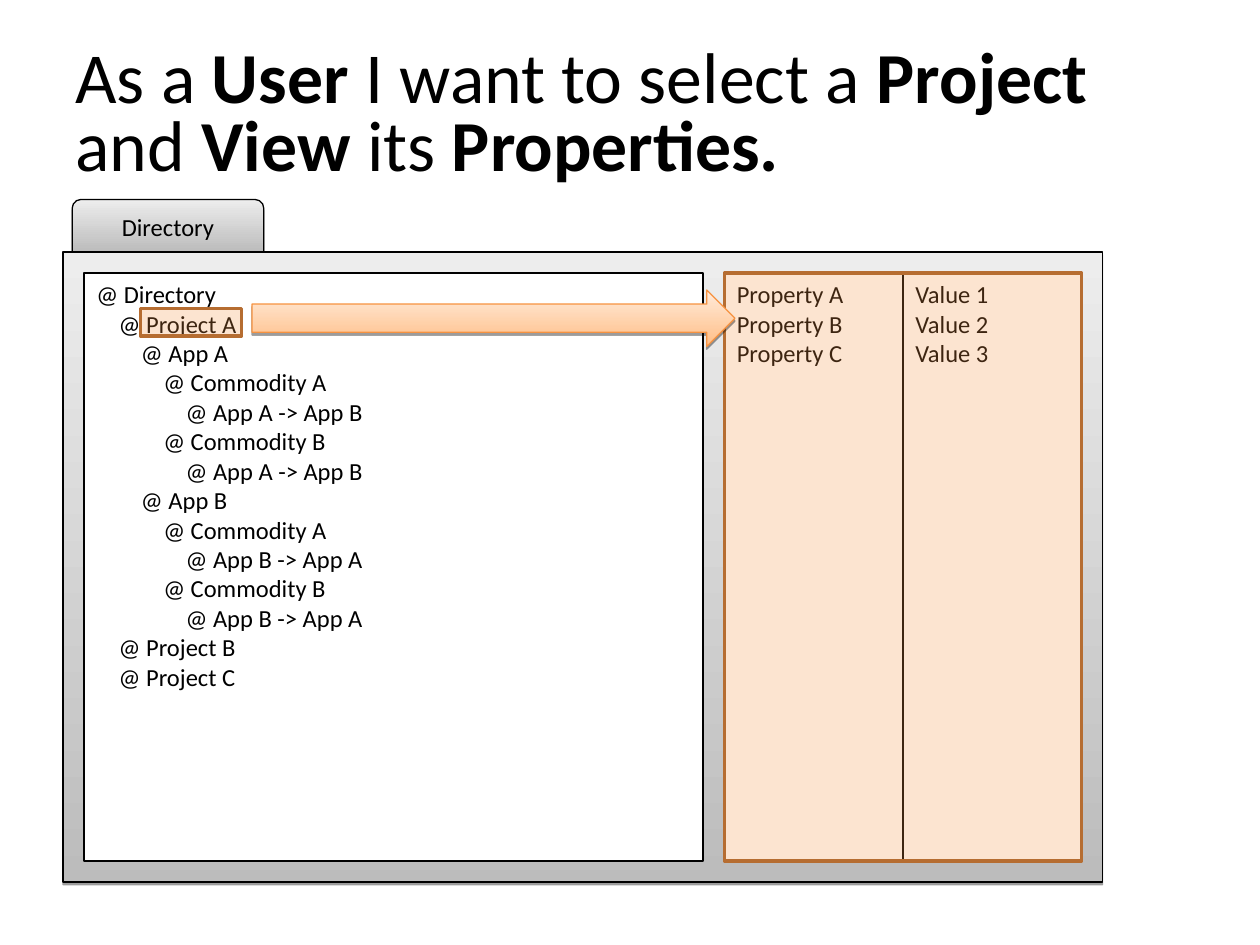
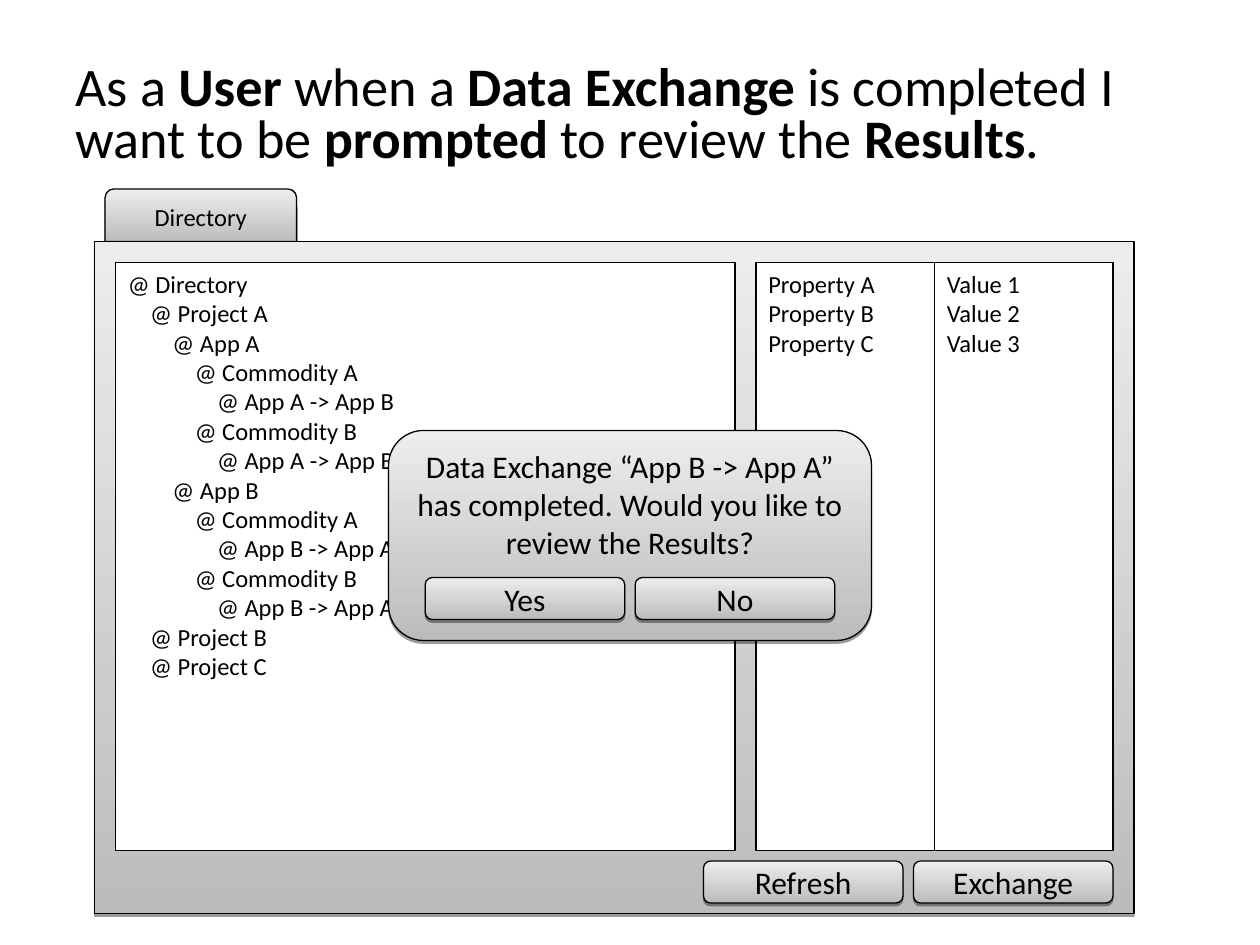
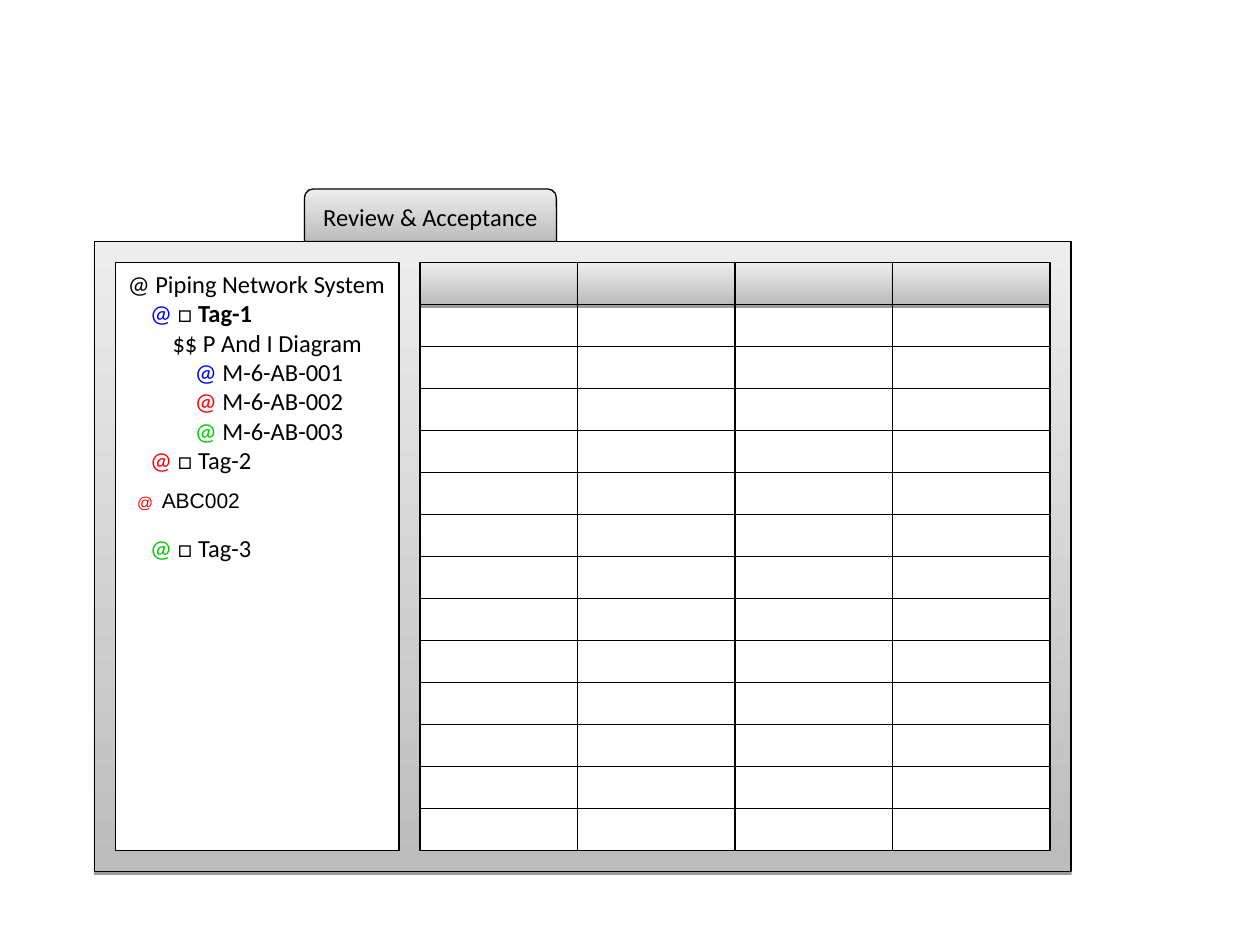
import pptx
import pptx.dml.color
import pptx.enum.shapes
import pptx.enum.text
import pptx.oxml.ns
import pptx.util
import lxml.etree

SCALE = 9525  # EMU in one px, 96 px to the inch
SHAPES = pptx.enum.shapes.MSO_SHAPE
ALIGN = pptx.enum.text.PP_ALIGN
ANCHOR = pptx.enum.text.MSO_ANCHOR

# Shared look
FONT = "Calibri"
BLACK, WHITE = "000000", "FFFFFF"
BLUE, RED, GREEN = "0000FF", "FF0000", "00CC00"
GREY_FADE = ("BCBCBC", "EDEDED")
ORANGE_FADE = ("FFBE86", "FFEBDB")
ORANGE, ORANGE_EDGE, ARROW_EDGE = "F79646", "B66D31", "F69240"

# Shared measures in px
MARGIN = 16
INDENT = 17
PANE_HEIGHT = 448
TREE_WIDTH = 472
PROPERTY_WIDTH = 136
TAB_HEIGHT = 40
BUTTON_WIDTH, BUTTON_HEIGHT, BUTTON_GAP = 152, 32, 8

DIRECTORY_TREE = [
    (0, "@ Directory"),
    (1, "@ Project A"),
    (2, "@ App A"),
    (3, "@ Commodity A"),
    (4, "@ App A -> App B"),
    (3, "@ Commodity B"),
    (4, "@ App A -> App B"),
    (2, "@ App B"),
    (3, "@ Commodity A"),
    (4, "@ App B -> App A"),
    (3, "@ Commodity B"),
    (4, "@ App B -> App A"),
    (1, "@ Project B"),
    (1, "@ Project C"),
]


def px(length):
    return pptx.util.Emu(round(length * SCALE))


def color(hex_string):
    return pptx.dml.color.RGBColor.from_string(hex_string)


def sub_element(parent, tag, **values):
    name = pptx.oxml.ns.qn(tag)
    return lxml.etree.SubElement(parent, name, {key: str(value) for key, value in values.items()})


# Text
def add_span(para, text, size=14, font=FONT, bold=False, ink=BLACK):
    span = para.add_run()
    span.text = text
    formats = {"name": font, "size": pptx.util.Pt(size), "bold": bold}
    for key, value in formats.items():
        setattr(span.font, key, value)
    span.font.color.rgb = color(ink)


def write(shape, lines, align=ALIGN.LEFT, anchor=ANCHOR.TOP, spacing=None):
    """Each line is (left indent in px, space before in points, spans)."""
    frame = shape.text_frame
    formats = {
        "word_wrap": True, "vertical_anchor": anchor,
        "margin_left": px(9.6), "margin_right": px(9.6),
        "margin_top": px(4.8), "margin_bottom": px(4.8),
    }
    for key, value in formats.items():
        setattr(frame, key, value)
    for number, (indent, before, spans) in enumerate(lines):
        para = frame.add_paragraph() if number else frame.paragraphs[0]
        para.alignment = align
        if spacing:
            para.line_spacing = spacing
        if before:
            para.space_before = pptx.util.Pt(before)
        if indent:
            properties = para._p.get_or_add_pPr()
            properties.set("marL", str(px(indent)))
            properties.set("indent", "0")
        for text, formats in spans:
            add_span(para, text, **formats)


def tree_lines(entries):
    return [(level * INDENT, 0, [(text, {})]) for level, text in entries]


# Shapes
def add_box(page, kind, box, fill, edge=BLACK, weight=1.0, opacity=None):
    """A pair of colours as fill gives a fade upwards and a shadow."""
    shape = page.shapes.add_shape(kind, *map(px, box))
    shape.shadow.inherit = False
    shape.line.color.rgb = color(edge)
    shape.line.width = pptx.util.Pt(weight)
    if isinstance(fill, tuple):
        shape.fill.gradient()
        shape.fill.gradient_angle = 90
        for stop, tone in zip(shape.fill.gradient_stops, fill):
            stop.color.rgb = color(tone)
        add_shadow(shape)
    else:
        shape.fill.solid()
        shape.fill.fore_color.rgb = color(fill)
    if opacity:
        tint = shape.element.spPr.find(pptx.oxml.ns.qn("a:solidFill"))[0]
        sub_element(tint, "a:alpha", val=opacity * 1000)
    return shape


def add_shadow(shape):
    effects = shape.element.spPr.find(pptx.oxml.ns.qn("a:effectLst"))
    shadow = sub_element(effects, "a:outerShdw", blurRad=0, dist=20320, dir=5400000, rotWithShape=0)
    sub_element(sub_element(shadow, "a:srgbClr", val=BLACK), "a:alpha", val=38000)


def add_raised(page, kind, box, edge=BLACK, fade=GREY_FADE):
    return add_box(page, kind, box, fade, edge, 0.75)


def add_pane(page, box, lines=()):
    pane = add_box(page, SHAPES.RECTANGLE, box, WHITE)
    write(pane, lines)


def add_highlight(page, box):
    add_box(page, SHAPES.RECTANGLE, box, ORANGE, ORANGE_EDGE, 2, opacity=25)


def add_rule(page, left, top, width):
    rule = page.shapes.add_connector(
        pptx.enum.shapes.MSO_CONNECTOR.STRAIGHT, px(left), px(top), px(left + width), px(top))
    rule.line.color.rgb = color(BLACK)
    rule.line.width = pptx.util.Pt(0.75)
    sub_element(rule.element.spPr, "a:effectLst")


# Regions
def add_title(page, parts, size):
    """Parts alternate between regular and bold."""
    title = page.shapes.add_textbox(px(48), px(29), px(864), px(120))
    spans = [(text, {"size": size, "bold": number % 2 == 1}) for number, text in enumerate(parts)]
    write(title, [(0, 0, spans)], anchor=ANCHOR.MIDDLE, spacing=0.8)


def add_window(page, box, tab_offset, tab_width, tab_label):
    left, top, width, height = box
    tab_box = (left + tab_offset, top - TAB_HEIGHT, tab_width, TAB_HEIGHT)
    tab = add_raised(page, SHAPES.ROUND_2_SAME_RECTANGLE, tab_box)
    write(tab, [(0, 0, [(tab_label, {})])], ALIGN.CENTER, ANCHOR.MIDDLE)
    add_raised(page, SHAPES.RECTANGLE, box)


def add_directory_window(page, box, tab_offset):
    left, top, width, height = box
    add_window(page, box, tab_offset, 146, "Directory")
    pane_top = top + MARGIN
    add_pane(page, (left + MARGIN, pane_top, TREE_WIDTH, PANE_HEIGHT), tree_lines(DIRECTORY_TREE))
    first_left = left + TREE_WIDTH + 2 * MARGIN
    columns = [("Property A", "Property B", "Property C"), ("Value 1", "Value 2", "Value 3")]
    for number, texts in enumerate(columns):
        pane_left = first_left + number * PROPERTY_WIDTH
        lines = tree_lines((0, text) for text in texts)
        add_pane(page, (pane_left, pane_top, PROPERTY_WIDTH, PANE_HEIGHT), lines)


def add_buttons(page, left, top, labels):
    for number, label in enumerate(labels):
        button_left = left + number * (BUTTON_WIDTH + BUTTON_GAP)
        button = add_raised(page, SHAPES.ROUNDED_RECTANGLE, (button_left, top, BUTTON_WIDTH, BUTTON_HEIGHT))
        write(button, [(0, 0, [(label, {"size": 18})])], ALIGN.CENTER, ANCHOR.MIDDLE)


def add_prompt(page, box, question, labels):
    left, top = box[:2]
    prompt = add_raised(page, SHAPES.ROUNDED_RECTANGLE, box)
    write(prompt, [(0, 0, [(question, {"size": 18})])], ALIGN.CENTER)
    add_buttons(page, left + 28, top + 112, labels)


def add_grid(page, box, columns, rows):
    """An empty grid whose first row is a raised header."""
    left, top, width, height = box
    column_width, row_height = width / columns, height / rows
    for column in range(columns):
        column_left = left + column * column_width
        add_pane(page, (column_left, top + row_height, column_width, height - row_height))
        add_raised(page, SHAPES.RECTANGLE, (column_left, top, column_width, row_height))
    for row in range(2, rows):
        add_rule(page, left, top + row * row_height, width)


def tag_lines():
    def marked(level, ink, text, bold=False, before=0):
        return level * INDENT, before, [("@ ", {"ink": ink}), (text, {"bold": bold})]

    def tag(ink, name, bold=False, before=0):
        return INDENT, before, [("@ ", {"ink": ink}), ("□ ", {}), (name, {"bold": bold})]

    arial = {"font": "Arial"}
    code = [("@", {"size": 9, "ink": RED, **arial}), (" ", {"size": 18, **arial}),
            ("ABC002", {"size": 12, **arial})]
    drawings = [marked(3, ink, f"M-6-AB-00{number}")
                for number, ink in enumerate((BLUE, RED, GREEN), start=1)]
    return [
        *tree_lines([(0, "@ Piping Network System")]),
        tag(BLUE, "Tag-1", bold=True),
        *tree_lines([(2, "$$ P And I Diagram")]),
        *drawings,
        tag(RED, "Tag-2"),
        (7, 1.5, code),
        tag(GREEN, "Tag-3", before=10.4),
    ]


# Slides
def build_select_page(page):
    left, top, width, height = box = (48, 192, 792, 480)
    add_directory_window(page, box, 7)
    add_title(page, ["As a ", "User", " I want to select a ", "Project ", "and ", "View",
                     " its ", "Properties."], 41)
    add_highlight(page, (left + 59, top + 43, 77, 21))
    add_highlight(page, (left + TREE_WIDTH + 2 * MARGIN, top + MARGIN, 2 * PROPERTY_WIDTH, PANE_HEIGHT))
    add_raised(page, SHAPES.RIGHT_ARROW, (left + 144, top + 29, 368, 43), ARROW_EDGE, ORANGE_FADE)


def build_prompt_page(page):
    left, top, width, height = box = (72, 184, 792, 512)
    add_directory_window(page, box, 8)
    add_title(page, ["As a ", "User", " when a ", "Data Exchange ", "is completed I want to be ",
                     "prompted ", "to review the ", "Results", "."], 31)
    add_buttons(page, left + 464, top + 472, ["Refresh", "Exchange"])
    add_prompt(page, (left + 224, top + 144, 368, 160),
               "Data Exchange “App B -> App A” has completed. Would you like to review the Results?",
               ["Yes", "No"])


def build_review_page(page):
    left, top, width, height = box = (72, 184, 744, 480)
    tree_width = 216
    add_window(page, box, 160, 192, "Review & Acceptance")
    add_pane(page, (left + MARGIN, top + MARGIN, tree_width, PANE_HEIGHT), tag_lines())
    add_grid(page, (left + tree_width + 2 * MARGIN, top + MARGIN, 480, PANE_HEIGHT), 4, 14)


def main():
    deck = pptx.Presentation()
    deck.slide_width, deck.slide_height = px(960), px(720)
    for build in (build_select_page, build_prompt_page, build_review_page):
        build(deck.slides.add_slide(deck.slide_layouts[6]))
    deck.save("out.pptx")


if __name__ == "__main__":
    main()
